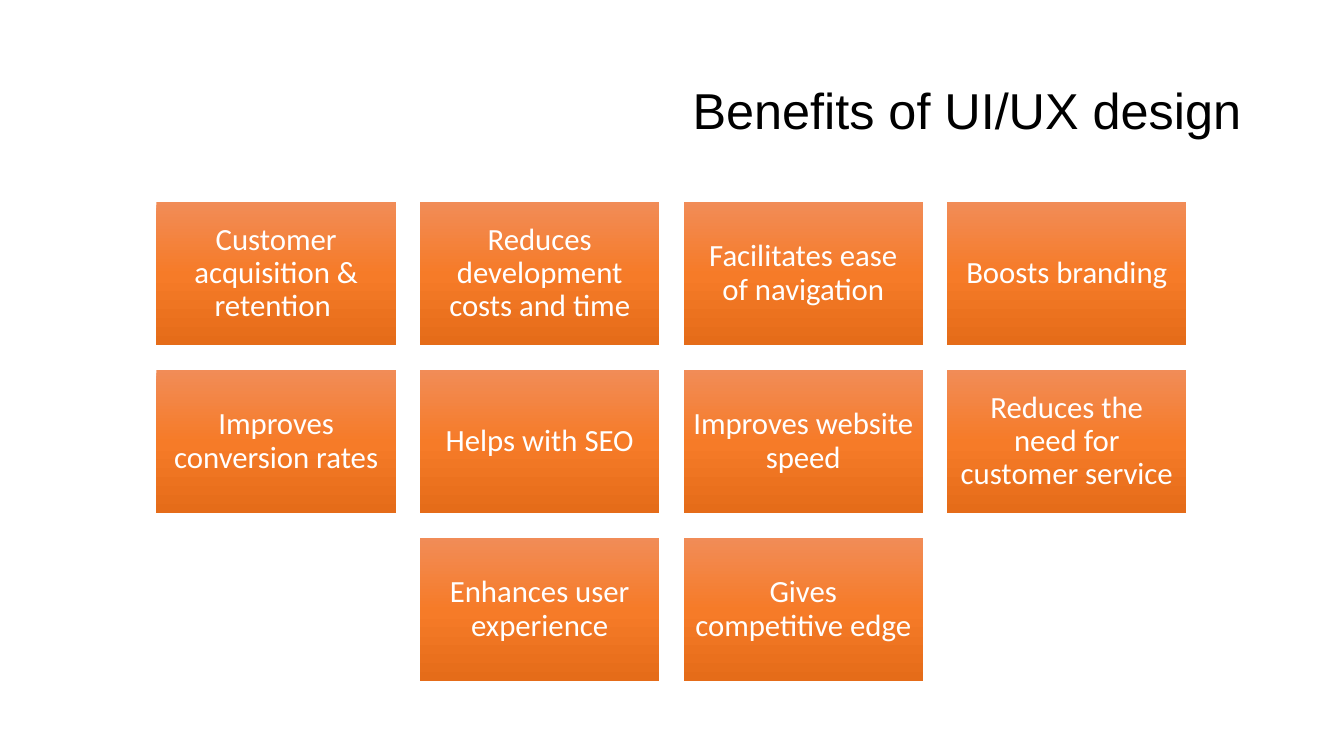
from copy import deepcopy
from dataclasses import dataclass

from pptx import Presentation
from pptx.dml.color import RGBColor
from pptx.enum.shapes import MSO_SHAPE
from pptx.enum.text import MSO_ANCHOR, PP_ALIGN
from pptx.util import Pt

SCALE = 9525  # EMU in one px, 96 px to the inch


@dataclass(frozen=True)
class Theme:
    ink: str = "000000"
    light: str = "FFFFFF"
    fade: tuple = ("F18C57", "F67B28", "E56C19")
    head_font: str = "Arial"
    tile_font: str = "Calibri"
    head_size: int = 36
    tile_size: int = 22


class Deck:
    def __init__(self, theme, width, height):
        self.theme = theme
        self.show = Presentation()
        self.show.slide_width = width * SCALE
        self.show.slide_height = height * SCALE
        self.slide = self.show.slides.add_slide(self.show.slide_layouts[6])

    def label(self, shape, text, align, font, size, color):
        frame = shape.text_frame
        frame.word_wrap = True
        frame.vertical_anchor = MSO_ANCHOR.MIDDLE
        para = frame.paragraphs[0]
        para.text = text
        para.alignment = align
        para.line_spacing = 0.9
        para.font.name = font
        para.font.size = Pt(size)
        para.font.color.rgb = RGBColor.from_string(color)
        return frame

    def title(self, text, *box):
        look = self.theme
        shape = self.slide.shapes.add_textbox(*(n * SCALE for n in box))
        self.label(shape, text, PP_ALIGN.RIGHT,
                   look.head_font, look.head_size, look.ink)

    def shade(self, shape):
        fill = shape.fill
        fill.gradient()
        fill.gradient_angle = 270
        # A new gradient has two stops; add the middle one
        stops = shape.element.xpath(".//a:gsLst")[0]
        stops.insert(1, deepcopy(stops[0]))
        for i, (stop, color) in enumerate(
                zip(fill.gradient_stops, self.theme.fade)):
            stop.position = i / 2
            stop.color.rgb = RGBColor.from_string(color)

    def tile(self, text, *box):
        look = self.theme
        shape = self.slide.shapes.add_shape(
            MSO_SHAPE.RECTANGLE, *(n * SCALE for n in box))
        shape.shadow.inherit = False
        shape.line.fill.background()
        self.shade(shape)
        frame = self.label(shape, text, PP_ALIGN.CENTER,
                           look.tile_font, look.tile_size, look.light)
        frame.margin_left = frame.margin_right = 9 * SCALE
        frame.margin_top = frame.margin_bottom = 9 * SCALE


WIDTH, HEIGHT = 1280, 720
TILE_W, TILE_H, GAP, TOP = 228, 137, 23, 192

ROWS = [
    ["Customer acquisition & retention ", "Reduces development costs and time",
     "Facilitates ease of navigation", "Boosts branding"],
    ["Improves conversion rates", "Helps with SEO",
     "Improves website speed", "Reduces the need for customer service"],
    ["Enhances user experience", "Gives competitive edge"],
]


def main():
    deck = Deck(Theme(), WIDTH, HEIGHT)

    # Heading
    deck.title("Benefits of UI/UX design", 88, 38, 1104, 139)

    # Benefit tiles, each row centred on the slide
    for r, row in enumerate(ROWS):
        span = len(row) * (TILE_W + GAP) - GAP
        left = (WIDTH - span) // 2
        for c, text in enumerate(row):
            deck.tile(text, left + c * (TILE_W + GAP),
                      TOP + r * (TILE_H + GAP), TILE_W, TILE_H)

    deck.show.save("out.pptx")


if __name__ == "__main__":
    main()
